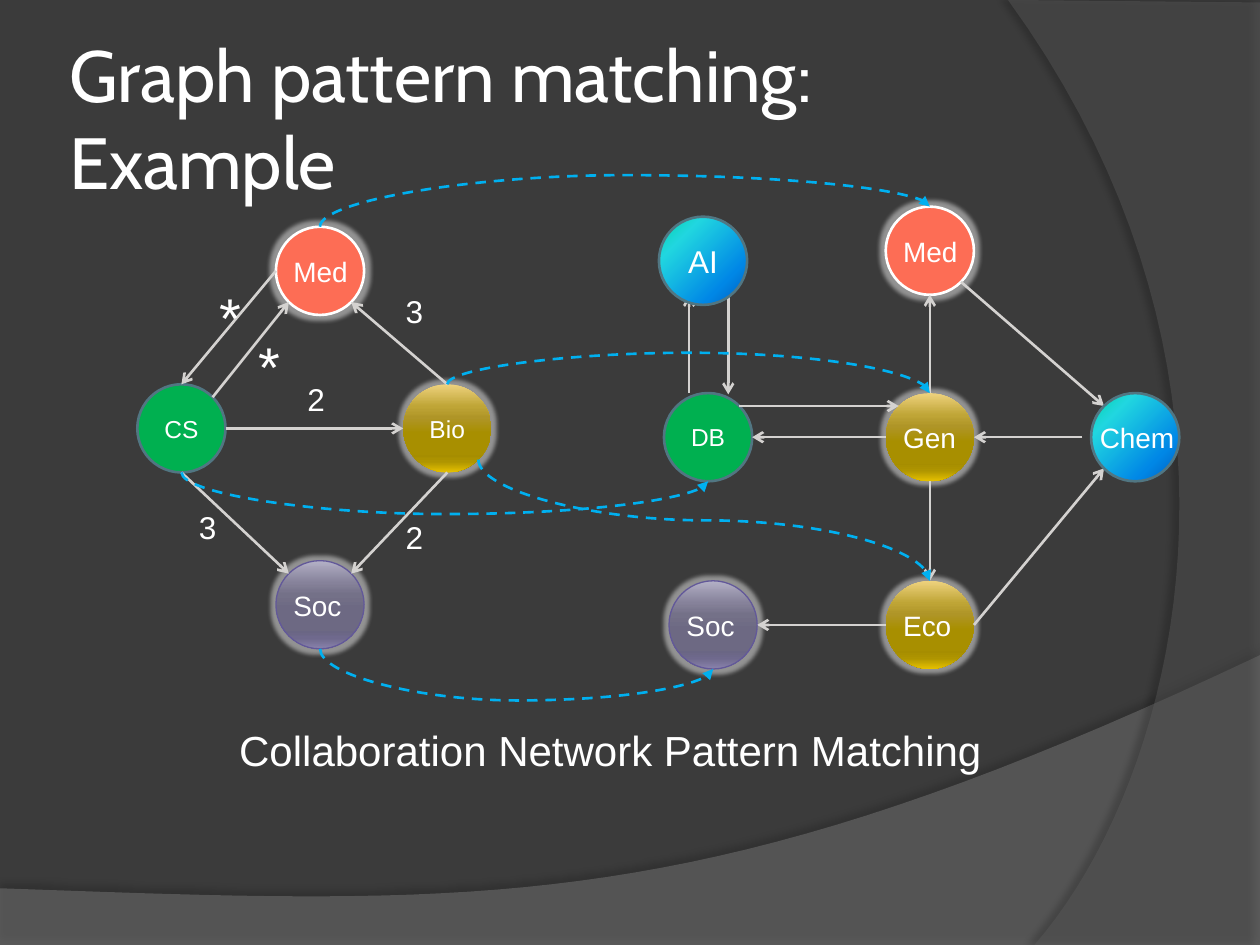
from collections import namedtuple
from math import sqrt

from lxml import etree
from pptx import Presentation
from pptx.dml.color import RGBColor
from pptx.enum.dml import MSO_LINE
from pptx.enum.shapes import MSO_CONNECTOR, MSO_SHAPE
from pptx.enum.text import MSO_ANCHOR, PP_ALIGN
from pptx.oxml.ns import qn
from pptx.util import Inches, Pt

STRAIGHT, CURVE = MSO_CONNECTOR.STRAIGHT, MSO_CONNECTOR.CURVE
OVAL, DASH = MSO_SHAPE.OVAL, MSO_LINE.DASH
MIDDLE, TOP = MSO_ANCHOR.MIDDLE, MSO_ANCHOR.TOP
CENTER, LEFT = PP_ALIGN.CENTER, PP_ALIGN.LEFT

COLUMNS, ROWS = 10, 7.5
DIAMETER = 0.7
WHITE, EDGE, MATCH = "FFFFFF", "D4D2D0", "00B0F0"
STOPS = (0, 25, 38, 55, 80, 88, 100)
GOLD = list(zip(STOPS, "EED27E BFA536 AF9527 A88F00 A68D00 AF9500 E6C100".split()))
VIOLET = list(zip(STOPS, "B3B0C6 86829A 747188 6D6983 6A6684 6F698D 8982AC".split()))
AQUA = [(0, "03D4A8"), (25, "21D6E0"), (75, "0087E6"), (100, "005CBF")]

Style = namedtuple("Style", "fill angle line width glow")
STYLES = {
    "green": Style("00B050", 0, "517682", 1.5, False),
    "coral": Style("FD6D55", 0, WHITE, 1.5, True),
    "gold": Style(GOLD, 90, None, 0, True),
    "violet": Style(VIOLET, 90, "625899", 0.75, True),
    "aqua": Style(AQUA, 45, "517682", 1.5, False),
}
SITES = {"top": (0, -1), "left": (-1, 0), "bottom": (0, 1), "right": (1, 0)}
SITES.update({v + h: (SITES[h][0] / sqrt(2), SITES[v][1] / sqrt(2))
              for v in ("top", "bottom") for h in ("left", "right")})


def rgb(value):
    """Turn a hex string into a colour."""
    return RGBColor.from_string(value)


def add(parent, tag, **attributes):
    """Append an XML child with the given attributes."""
    return etree.SubElement(parent, qn(tag), {k: str(v) for k, v in attributes.items()})


def add_colour(parent, colour, alpha=100):
    """Append a colour with an opacity in percent."""
    add(add(parent, "a:srgbClr", val=colour), "a:alpha", val=alpha * 1000)


def write(shape, text, size=18, font="Arial", align=LEFT, anchor=TOP, wrap=True, inset=None):
    """Put formatted white text in a shape."""
    frame = shape.text_frame
    frame.word_wrap, frame.vertical_anchor = wrap, anchor
    if inset is not None:
        frame.margin_left = frame.margin_right = Inches(inset)
        frame.margin_top = frame.margin_bottom = Inches(inset)
    para = frame.paragraphs[0]
    para.alignment = align
    span = para.add_run()
    span.text = text
    span.font.size, span.font.name = Pt(size), font
    span.font.color.rgb = rgb(WHITE)


def add_text(page, box, text, **options):
    """Add a text box holding one line of text."""
    write(page.shapes.add_textbox(*map(Inches, box)), text, **options)


def bezier(start, first, second, end, steps=40):
    """List points along a cubic curve."""
    for step in range(steps + 1):
        t = step / steps
        weights = ((1 - t) ** 3, 3 * t * (1 - t) ** 2, 3 * t * t * (1 - t), t ** 3)
        yield tuple(sum(w * p[axis] for w, p in zip(weights, (start, first, second, end)))
                    for axis in (0, 1))


def swoosh(page, corners, curve, colour, alpha, shadow, direction):
    """Draw a translucent area bounded by a curve."""
    points = [tuple(map(Inches, p)) for p in [*corners, *bezier(*curve)]]
    builder = page.shapes.build_freeform(*points[0], scale=1.0)
    builder.add_line_segments(points[1:], close=True)
    shape = builder.convert_to_shape()
    shape.fill.solid()
    shape.fill.fore_color.rgb = rgb(colour)
    props = shape._element.spPr
    add(props.find(qn("a:solidFill"))[0], "a:alpha", val=alpha * 1000)
    shape.line.fill.background()
    shape.shadow.inherit = False
    cast = add(props.find(qn("a:effectLst")), "a:outerShdw", blurRad=Pt(4),
               dist=Pt(4), dir=direction * 60000, algn="ctr", rotWithShape=0)
    add_colour(cast, "000000", shadow)


def backdrop(page, width, height):
    """Paint the background and its two sweeping areas."""
    page.background.fill.solid()
    page.background.fill.fore_color.rgb = rgb("3B3B3B")
    swoosh(page, [(0, height), (width, height)],
           [(width, 5.2), (5.59, 7.29), (3.91, 7.19), (0, 7.05)], "7F7F7F", 45, 35, 270)
    swoosh(page, [(width, 0.02), (width, height)],
           [(8.21, height), (9.35, 6.19), (10.18, 3), (8, 0)], "5E5E5E", 40, 45, 180)


def add_node(page, left, top, text, style, size=16, inside=False, shift=0.04, width=0.74):
    """Draw one labelled circle."""
    look = STYLES[style]
    circle = page.shapes.add_shape(OVAL, *map(Inches, (left, top, DIAMETER, DIAMETER)))
    circle.shadow.inherit = False
    props = circle._element.spPr
    if isinstance(look.fill, str):
        circle.fill.solid()
        circle.fill.fore_color.rgb = rgb(look.fill)
    else:
        circle.fill.gradient()
        circle.fill.gradient_angle = 360 - look.angle
        stops = props.find(qn("a:gradFill")).find(qn("a:gsLst"))
        stops.clear()
        for position, colour in look.fill:
            add_colour(add(stops, "a:gs", pos=position * 1000), colour)
    if look.line:
        circle.line.color.rgb, circle.line.width = rgb(look.line), Pt(look.width)
    else:
        circle.line.fill.background()
    if look.glow:
        add_colour(add(props.find(qn("a:effectLst")), "a:glow", rad=Pt(5)), WHITE, 45)
    if inside:
        write(circle, text, size=size, align=CENTER, anchor=MIDDLE, wrap=False)
    else:
        add_text(page, (left + shift, top + 0.17, width, 0.37), text, size=size)
    return circle


def finish_line(line, colour, head, dash=None):
    """Colour a connector, give it an arrowhead and drop its shadow."""
    line.line.color.rgb, line.line.width = rgb(colour), Pt(1.5)
    if dash:
        line.line.dash_style = dash
    props = line._element.spPr
    add(props.find(qn("a:ln")), "a:tailEnd", type=head)
    add(props, "a:effectLst")


def site_point(origin, site):
    """Locate a named site on a circle's rim."""
    radius = DIAMETER / 2
    return tuple(o + radius + radius * s for o, s in zip(origin, SITES[site]))


def graph(page, origin, nodes, edges, on_top=()):
    """Draw a graph from an origin and return the corners of its nodes."""
    corners = {name: (origin[0] + spec[0], origin[1] + spec[1]) for name, spec in nodes.items()}

    def draw(names):
        return {n: add_node(page, *corners[n], n, nodes[n][2], **nodes[n][3]) for n in names}

    def locate(end):
        if isinstance(end[0], str):
            return site_point(corners[end[0]], end[1])
        return origin[0] + end[0], origin[1] + end[1]

    circles = draw([n for n in nodes if n not in on_top])
    for start, end in edges:
        line = page.shapes.add_connector(STRAIGHT, *map(Inches, locate(start) + locate(end)))
        for place, join in ((start, line.begin_connect), (end, line.end_connect)):
            if place[1] == "top":
                join(circles[place[0]], 0)
        finish_line(line, EDGE, "arrow")
    draw(on_top)
    return corners


def pattern_graph(page, origin):
    """Draw the pattern with its distance bounds."""
    nodes = {"CS": (0, 1.25, "green", dict(size=14, inside=True)),
             "Bio": (2.11, 1.25, "gold", dict(size=14, inside=True)),
             "Soc": (1.1, 2.65, "violet", {}), "Med": (1.1, 0, "coral", {})}
    edges = [(("Med", "left"), ("CS", "top")), (("CS", "topright"), ("Med", "bottomleft")),
             (("CS", "right"), ("Bio", "left")), (("CS", "bottom"), ("Soc", "topleft")),
             (("Bio", "top"), ("Med", "bottomright")), (("Bio", "bottom"), ("Soc", "topright"))]
    corners = graph(page, origin, nodes, edges)
    for text, x, y, size in [("*", 0.55, 0.39, 32), ("3", 0.39, 2.18, 18), ("*", 0.86, 0.78, 32),
                             ("2", 2.03, 2.26, 18), ("2", 1.25, 1.17, 18), ("3", 2.03, 0.47, 18)]:
        add_text(page, (origin[0] + x, origin[1] + y, 0.31, size / 50), text, size=size)
    return corners


def data_graph(page, origin):
    """Draw the collaboration network."""
    nodes = {"DB": (0.04, 1.48, "green", dict(size=14, inside=True)), "Med": (1.8, 0, "coral", {}),
             "Gen": (1.8, 1.48, "gold", {}), "Soc": (0.08, 2.97, "violet", {}),
             "Eco": (1.8, 2.97, "gold", {}), "AI": (0, 0.08, "aqua", dict(size=18, inside=True)),
             "Chem": (3.43, 1.48, "aqua", dict(shift=-0.03, width=0.82))}
    edges = [(("Gen", "left"), ("DB", "right")), (("Gen", "top"), ("Med", "bottom")),
             ((0.24, 1.48), (0.24, 0.7)), (("DB", "topright"), ("Gen", "topleft")),
             (("Med", "bottomright"), ("Chem", "topleft")), ((0.55, 0.7), (0.55, 1.49)),
             (("Eco", "left"), ("Soc", "right")), (("Eco", "right"), ("Chem", "bottomleft")),
             ((3.36, 1.83), ("Gen", "right")), (("Gen", "bottom"), ("Eco", "top"))]
    return graph(page, origin, nodes, edges, on_top=("AI", "Chem"))


def match(page, start, end, bend):
    """Draw a dashed curve that leaves and arrives vertically, turning at a given height."""
    (x1, y1), (x2, y2) = start, end
    width, height = abs(y2 - y1), x2 - x1
    left, top = (x1 + x2 - width) / 2, (y1 + y2 - height) / 2
    line = page.shapes.add_connector(CURVE, *map(Inches, (left, top, left + width, top + height)))
    props = line._element.spPr
    frame, rising = props.find(qn("a:xfrm")), y2 < y1
    frame.set("rot", str((90 if rising else 270) * 60000))
    frame.set("flipH", "1")
    frame.set("flipV", str(int(rising)))
    ratio = round((bend - y1) / (y2 - y1) * 100000)
    add(props.find(qn("a:prstGeom")).find(qn("a:avLst")), "a:gd", name="adj1", fmla=f"val {ratio}")
    finish_line(line, MATCH, "triangle", DASH)


def main():
    """Build and save the slide."""
    deck = Presentation()
    deck.slide_width, deck.slide_height = Inches(COLUMNS), Inches(ROWS)
    page = deck.slides.add_slide(deck.slide_layouts[6])
    backdrop(page, COLUMNS, ROWS)
    add_text(page, (0.5, 0.3, 8.17, 1.25), "Graph pattern matching: Example",
             size=41.4, font="Cabin", anchor=MIDDLE, inset=0.05)
    pattern = pattern_graph(page, (1.09, 1.8))
    data = data_graph(page, (5.23, 1.64))
    add_text(page, (1.8, 5.7, 6.16, 0.5), "Collaboration Network Pattern Matching",
             size=24, wrap=False)
    for source, leave, target, arrive, bend in [
            ("Med", "top", "Med", "top", 1.39), ("CS", "bottom", "DB", "bottom", 4.08),
            ("Bio", "top", "Gen", "top", 2.8), ("Bio", "bottomright", "Eco", "top", 4.13),
            ("Soc", "bottom", "Soc", "bottom", 5.56)]:
        match(page, site_point(pattern[source], leave), site_point(data[target], arrive), bend)
    deck.save("out.pptx")


if __name__ == "__main__":
    main()
